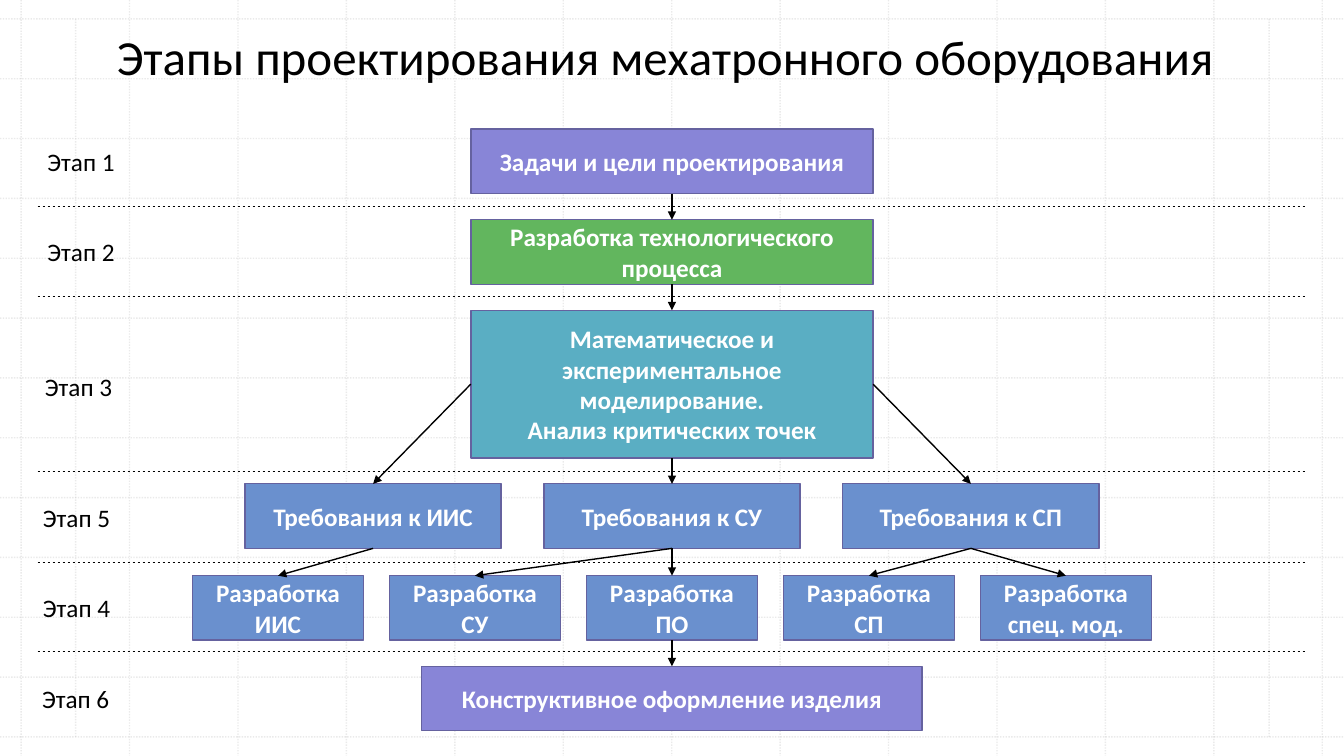
from lxml.etree import SubElement
from pptx import Presentation
from pptx.dml.color import RGBColor
from pptx.enum.dml import MSO_LINE
from pptx.enum.shapes import MSO_CONNECTOR, MSO_SHAPE
from pptx.enum.text import MSO_ANCHOR, PP_ALIGN
from pptx.oxml.ns import qn
from pptx.util import Pt

BLACK = RGBColor(0x00, 0x00, 0x00)
WHITE = RGBColor(0xFF, 0xFF, 0xFF)
GREY = RGBColor(0xBC, 0xBC, 0xBC)
EDGE = RGBColor(0x65, 0x62, 0x9F)
VIOLET = RGBColor(0x88, 0x85, 0xD7)
GREEN = RGBColor(0x62, 0xB6, 0x5E)
TEAL = RGBColor(0x5A, 0xAE, 0xC3)
BLUE = RGBColor(0x6A, 0x90, 0xCE)

FONT = "Calibri"
WIDE, HIGH = 960, 540
BOX_H = 46.1
TITLE = "Этапы проектирования мехатронного оборудования"

# top, height, box width, step between centres, fill, texts
ROWS = [
    (92.2, BOX_H, 287.4, 0, VIOLET, ["Задачи и цели проектирования"]),
    (157, BOX_H, 287.4, 0, GREEN, ["Разработка технологического процесса"]),
    (221.6, 105.6, 287.4, 0, TEAL,
     ["Математическое и экспериментальное моделирование.\nАнализ критических точек"]),
    (345.6, BOX_H, 183, 213.5, BLUE,
     ["Требования к ИИС", "Требования к СУ", "Требования к СП"]),
    (411.2, BOX_H, 122.4, 140.7, BLUE,
     ["Разработка ИИС", "Разработка СУ", "Разработка ПО", "Разработка СП",
      "Разработка спец. мод."]),
    (475.9, BOX_H, 357.4, 0, VIOLET, ["Конструктивное оформление изделия"]),
]

# (row, column) of each end, and the side that the arrow leaves
TOP, LEFT, BOTTOM, RIGHT = range(4)
ARROWS = [
    ((0, 0), BOTTOM, (1, 0)),
    ((1, 0), BOTTOM, (2, 0)),
    ((2, 0), LEFT, (3, 0)),
    ((2, 0), BOTTOM, (3, 1)),
    ((2, 0), RIGHT, (3, 2)),
    ((3, 0), BOTTOM, (4, 0)),
    ((3, 1), BOTTOM, (4, 1)),
    ((3, 1), BOTTOM, (4, 2)),
    ((3, 2), BOTTOM, (4, 3)),
    ((3, 2), BOTTOM, (4, 4)),
    ((4, 2), BOTTOM, (5, 0)),
]

STAGES = [
    ("Этап 1", 26.8, 100.8),
    ("Этап 2", 26.8, 165),
    ("Этап 3", 25, 261.4),
    ("Этап 5", 23.6, 355.4),
    ("Этап 4", 23.6, 419.4),
    ("Этап 6", 23, 484.4),
]
BREAKS = [147.2, 211.6, 336.8, 401.6, 465.2]


def add_line(slide, x1, y1, x2, y2, color, width, dash=None):
    line = slide.shapes.add_connector(
        MSO_CONNECTOR.STRAIGHT, Pt(x1), Pt(y1), Pt(x2), Pt(y2))
    line.line.color.rgb = color
    line.line.width = Pt(width)
    if dash:
        line.line.dash_style = dash
    SubElement(line._element.spPr, qn("a:effectLst"))
    return line


def add_grid(slide):
    ends = [(x, 0, x, HIGH) for x in (15.1 + 77.45 * i for i in range(13))]
    ends += [(0, y, WIDE, y) for y in (13.5 + 42.74 * i for i in range(13))]
    ends += [(x, 13.5, x, 526.4) for x in (54, 906.5)]
    for x1, y1, x2, y2 in ends:
        line = add_line(slide, x1, y1, x2, y2, GREY, 1, MSO_LINE.ROUND_DOT)
        tint = line._element.spPr.find(".//" + qn("a:srgbClr"))
        SubElement(tint, qn("a:alpha"), val="30000")


def set_text(shape, text, size, color, align, bold=False):
    frame = shape.text_frame
    frame.word_wrap = True
    frame.text = text
    for para in frame.paragraphs:
        para.alignment = align
        for run in para.runs:
            font = run.font
            font.name, font.size, font.bold = FONT, Pt(size), bold
            font.color.rgb = color


def add_label(slide, text, x, y, w, h, size, align):
    label = slide.shapes.add_textbox(Pt(x), Pt(y), Pt(w), Pt(h))
    set_text(label, text, size, BLACK, align)


def add_box(slide, text, x, y, w, h, fill):
    box = slide.shapes.add_shape(MSO_SHAPE.RECTANGLE, Pt(x), Pt(y), Pt(w), Pt(h))
    box.shadow.inherit = False
    box.fill.solid()
    box.fill.fore_color.rgb = fill
    box.line.color.rgb = EDGE
    box.line.width = Pt(1)
    box.text_frame.vertical_anchor = MSO_ANCHOR.MIDDLE
    set_text(box, text, 18, WHITE, PP_ALIGN.CENTER, True)
    return box


def add_arrow(slide, start, side, end):
    arrow = add_line(slide, 0, 0, 0, 0, BLACK, 1)
    arrow.begin_connect(start, side)
    arrow.end_connect(end, TOP)
    SubElement(arrow.line._get_or_add_ln(), qn("a:tailEnd"), type="triangle")


def main():
    deck = Presentation()
    deck.slide_width, deck.slide_height = Pt(WIDE), Pt(HIGH)
    slide = deck.slides.add_slide(deck.slide_layouts[6])

    add_grid(slide)
    add_label(slide, TITLE, 0, 15.1, 951, 49.7, 35, PP_ALIGN.CENTER)

    boxes = {}
    for row, (top, height, width, step, fill, texts) in enumerate(ROWS):
        first = WIDE / 2 - step * (len(texts) - 1) / 2 - width / 2
        for col, text in enumerate(texts):
            boxes[row, col] = add_box(
                slide, text, first + step * col, top, width, height, fill)
    for start, side, end in ARROWS:
        add_arrow(slide, boxes[start], side, boxes[end])

    for text, x, y in STAGES:
        add_label(slide, text, x, y, 68, 29, 18, PP_ALIGN.LEFT)
    for y in BREAKS:
        add_line(slide, 26.8, y, 933, y, BLACK, 0.5, MSO_LINE.DASH)

    deck.save("out.pptx")


if __name__ == "__main__":
    main()
